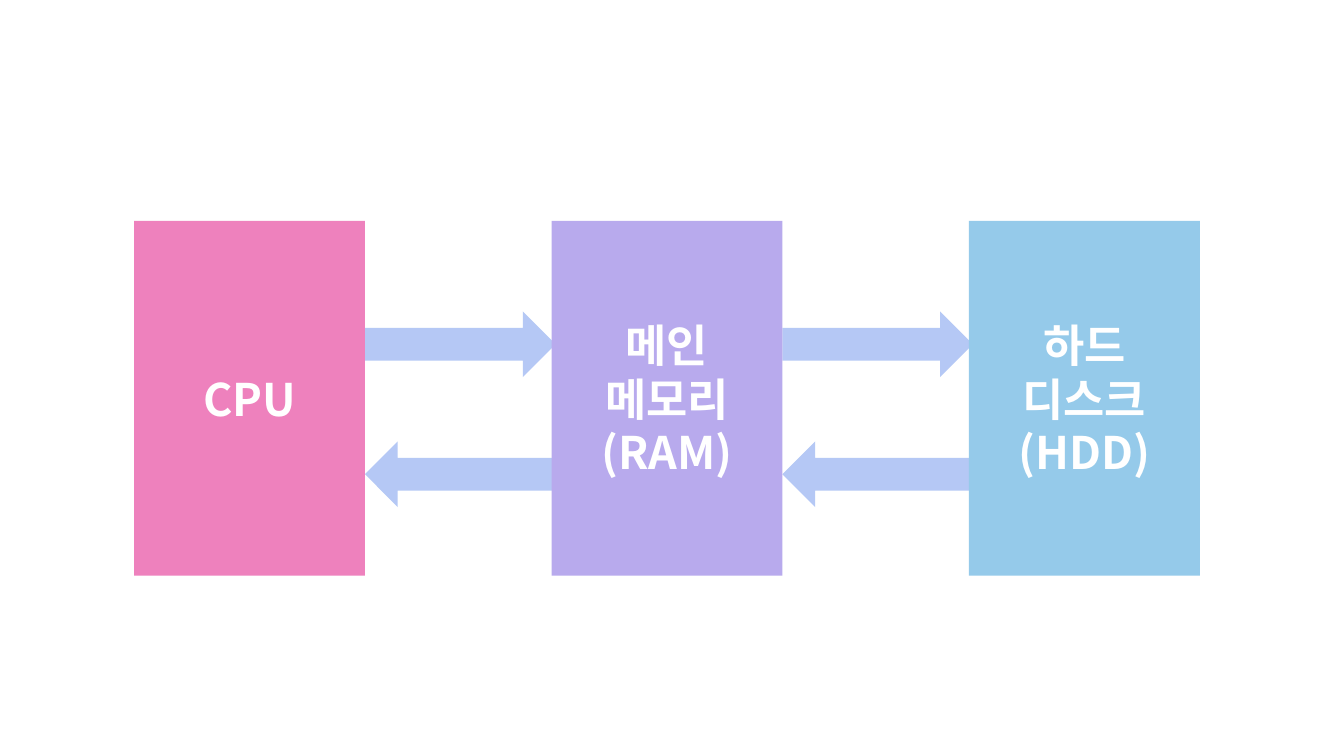
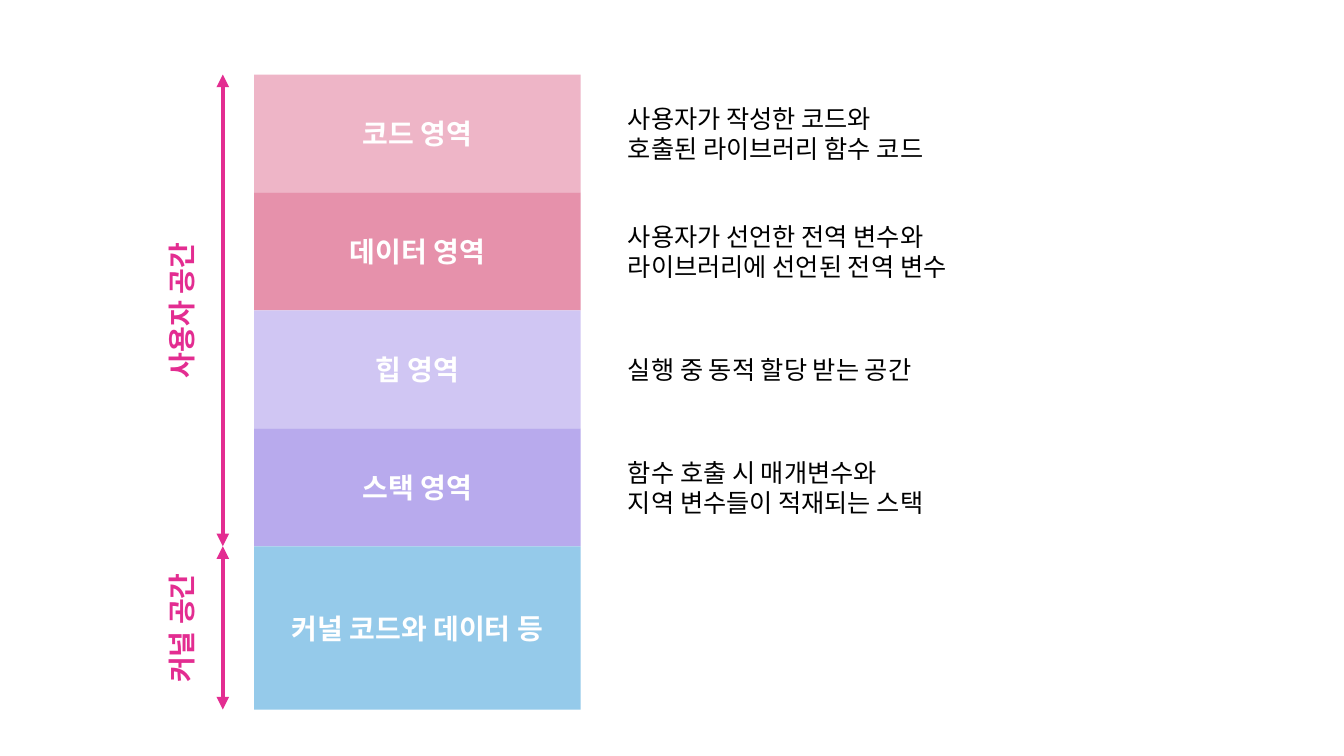
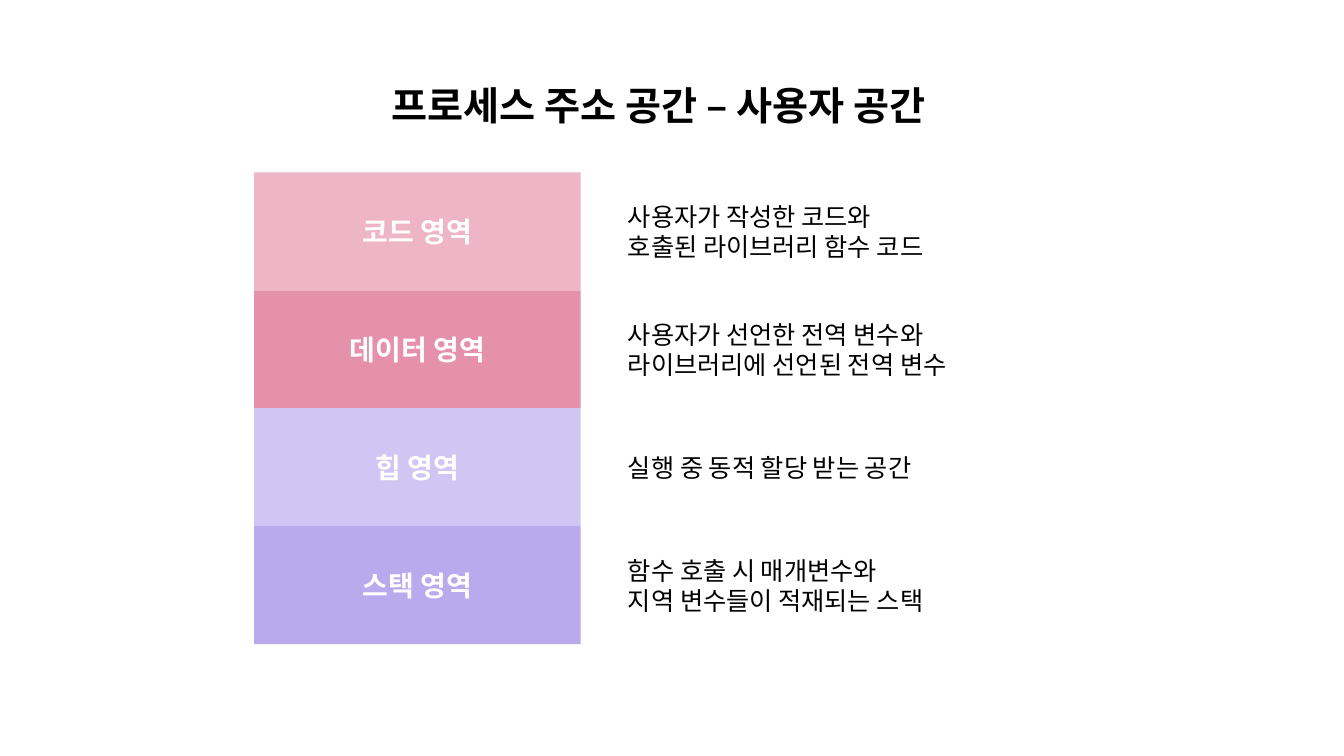
from pptx import Presentation
from pptx.dml.color import RGBColor
from pptx.enum import shapes as sh, text as tx
from pptx.oxml.ns import qn
from pptx.util import Inches, Pt
from lxml import etree

FONT = "Noto Sans CJK KR"
WHITE = RGBColor(0xFF, 0xFF, 0xFF)
BLACK = RGBColor(0, 0, 0)
MAGENTA = RGBColor(0xE3, 0x2D, 0x91)
PINK = RGBColor(0xEE, 0x81, 0xBD)
PALE_ROSE = RGBColor(0xEE, 0xB5, 0xC7)
ROSE = RGBColor(0xE6, 0x91, 0xAB)
PALE_VIOLET = RGBColor(0xD0, 0xC6, 0xF3)
VIOLET = RGBColor(0xB8, 0xAA, 0xED)
SKY = RGBColor(0x95, 0xCA, 0xEA)
PERIWINKLE = RGBColor(0xB5, 0xC8, 0xF5)

CENTER = tx.PP_ALIGN.CENTER
RECT = sh.MSO_SHAPE.RECTANGLE


def write(shape, lines, size, color, bold=True, align=CENTER, spacing=None):
    """Fill a shape with one vertically centred paragraph per line."""
    frame = shape.text_frame
    frame.word_wrap = True
    frame.vertical_anchor = tx.MSO_ANCHOR.MIDDLE
    for i, line in enumerate(lines):
        paragraph = frame.paragraphs[0] if i == 0 else frame.add_paragraph()
        paragraph.alignment = align
        paragraph.line_spacing = spacing
        run = paragraph.add_run()
        run.text = line
        font = run.font
        font.name, font.size, font.bold = FONT, Pt(size), bold
        font.color.rgb = color
        # Hangul takes its typeface from a:ea
        etree.SubElement(font._element, qn("a:ea")).set("typeface", FONT)


def add_block(slide, kind, left, top, width, height, color):
    """Add a flat, borderless shape."""
    block = slide.shapes.add_shape(
        kind, Inches(left), Inches(top), Inches(width), Inches(height))
    block.shadow.inherit = False
    block.fill.solid()
    block.fill.fore_color.rgb = color
    block.line.fill.background()
    return block


prs = Presentation()
prs.slide_width, prs.slide_height = Inches(13.33), Inches(7.5)
blank = prs.slide_layouts[6]

# Slide 1: CPU, memory and disk exchanging data
hierarchy = prs.slides.add_slide(blank)
UNIT_LEFT, UNIT_WIDTH, UNIT_PITCH = 1.33, 2.29, 4.14
units = [
    (["CPU"], PINK),
    (["메인", "메모리", "(RAM)"], VIOLET),
    (["하드", "디스크(HDD)"], SKY),
]
for gap in range(len(units) - 1):
    arrow_left = UNIT_LEFT + UNIT_WIDTH + gap * UNIT_PITCH
    for direction, top in ((sh.MSO_SHAPE.RIGHT_ARROW, 3.09),
                           (sh.MSO_SHAPE.LEFT_ARROW, 4.38)):
        add_block(hierarchy, direction, arrow_left, top, 1.89, 0.65, PERIWINKLE)
for i, (label, color) in enumerate(units):
    unit = add_block(hierarchy, RECT, UNIT_LEFT + i * UNIT_PITCH, 2.19,
                     UNIT_WIDTH, 3.52, color)
    write(unit, label, 32, WHITE)

# Slides 2 and 3: the same four user regions, starting at different heights
STACK_LEFT, STACK_WIDTH, REGION_HEIGHT = 2.52, 3.24, 1.17
USER_TOP = 0.74
regions = [
    ("코드 영역", PALE_ROSE, ["사용자가 작성한 코드와", "호출된 라이브러리 함수 코드"]),
    ("데이터 영역", ROSE, ["사용자가 선언한 전역 변수와", "라이브러리에 선언된 전역 변수"]),
    ("힙 영역", PALE_VIOLET, ["실행 중 동적 할당 받는 공간"]),
    ("스택 영역", VIOLET, ["함수 호출 시 매개변수와", "지역 변수들이 적재되는 스택"]),
]
address_space = prs.slides.add_slide(blank)
user_space = prs.slides.add_slide(blank)
for slide, stack_top in ((address_space, USER_TOP), (user_space, 1.71)):
    for i, (label, color, description) in enumerate(regions):
        top = stack_top + i * REGION_HEIGHT
        region = add_block(slide, RECT, STACK_LEFT, top, STACK_WIDTH,
                           REGION_HEIGHT, color)
        write(region, [label], 20, WHITE)
        note = slide.shapes.add_textbox(Inches(6.13), Inches(top), Inches(4.05),
                                        Inches(REGION_HEIGHT))
        write(note, description, 18, BLACK, bold=False, align=tx.PP_ALIGN.LEFT)

# Slide 2: kernel region and the two spans
KERNEL_TOP = USER_TOP + len(regions) * REGION_HEIGHT
KERNEL_HEIGHT = 1.62
kernel = add_block(address_space, RECT, STACK_LEFT, KERNEL_TOP, STACK_WIDTH,
                   KERNEL_HEIGHT, SKY)
write(kernel, ["커널 코드와 데이터 등"], 20, WHITE)

SPAN_X, LABEL_X, LABEL_HEIGHT = 2.21, 1.82, 0.7
for name, top, bottom, label_length in (
        ("사용자 공간", USER_TOP, KERNEL_TOP, 3.16),
        ("커널 공간", KERNEL_TOP, KERNEL_TOP + KERNEL_HEIGHT, 1.62)):
    span = address_space.shapes.add_connector(
        sh.MSO_CONNECTOR.STRAIGHT, Inches(SPAN_X), Inches(top),
        Inches(SPAN_X), Inches(bottom))
    span.line.color.rgb = MAGENTA
    span.line.width = Pt(3)
    outline = span.line._get_or_add_ln()
    for end in ("a:headEnd", "a:tailEnd"):
        etree.SubElement(outline, qn(end)).set("type", "triangle")
    etree.SubElement(span._element.spPr, qn("a:effectLst"))

    middle = (top + bottom) / 2
    span_label = address_space.shapes.add_textbox(
        Inches(LABEL_X - label_length / 2), Inches(middle - LABEL_HEIGHT / 2),
        Inches(label_length), Inches(LABEL_HEIGHT))
    span_label.rotation = 270
    write(span_label, [name], 20, MAGENTA, spacing=0.9)

# Slide 3: title
title = user_space.shapes.add_textbox(Inches(3.29), Inches(0.72), Inches(6.48),
                                      Inches(0.7))
write(title, ["프로세스 주소 공간 – 사용자 공간"], 28, BLACK, spacing=0.9)

prs.save("out.pptx")
